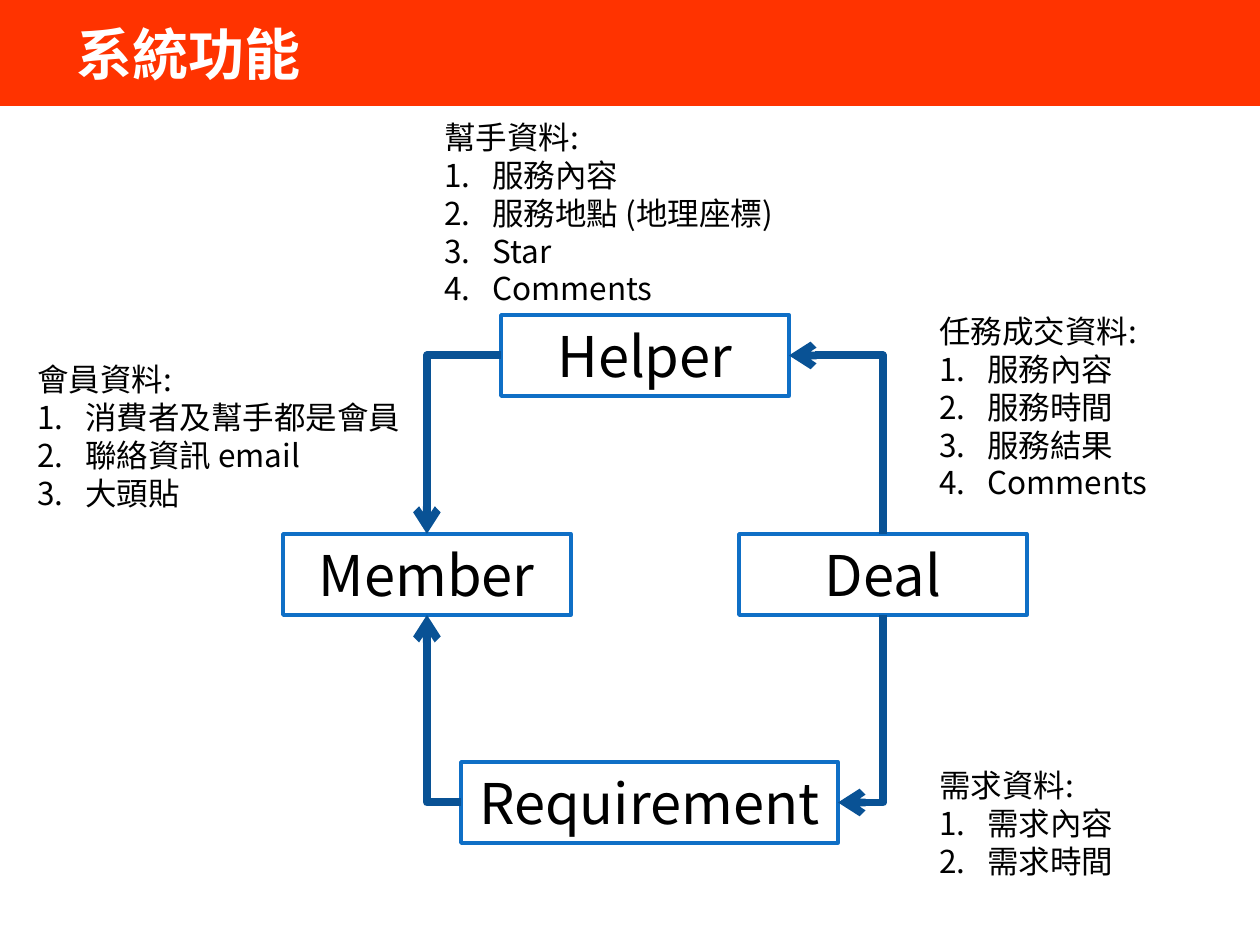
from lxml import etree
from pptx import Presentation
from pptx.dml.color import RGBColor
from pptx.enum.shapes import MSO_CONNECTOR, MSO_SHAPE
from pptx.enum.text import MSO_ANCHOR, MSO_AUTO_SIZE, PP_ALIGN
from pptx.oxml.ns import qn
from pptx.util import Emu, Inches, Pt

ELBOW, RECTANGLE = MSO_CONNECTOR.ELBOW, MSO_SHAPE.RECTANGLE
LEFT, CENTER, MIDDLE = PP_ALIGN.LEFT, PP_ALIGN.CENTER, MSO_ANCHOR.MIDDLE
NO_AUTOFIT, GROW = MSO_AUTO_SIZE.NONE, MSO_AUTO_SIZE.SHAPE_TO_FIT_TEXT
TOP_SIDE, LEFT_SIDE, BOTTOM_SIDE, RIGHT_SIDE = range(4)

ORANGE = RGBColor(0xFF, 0x33, 0x00)
WHITE = RGBColor(0xFF, 0xFF, 0xFF)
BLACK = RGBColor(0x00, 0x00, 0x00)
BLUE = RGBColor(0x0F, 0x6F, 0xC6)
DARK_BLUE = RGBColor(0x09, 0x52, 0x95)
FONT = "Noto Sans CJK SC"

TITLE = "系統功能"
BANNER_BOX = (0, 0, 1260, 106)
TITLE_BOX = (64, 0, 1134, 106)

ENTITY_HEIGHT = 81
ENTITIES = {  # name: left, top, width
    "Helper": (501, 315, 288),
    "Member": (283, 534, 288),
    "Deal": (739, 534, 288),
    "Requirement": (461, 762, 377),
}
RELATIONS = [
    ("Helper", LEFT_SIDE, "Member", TOP_SIDE),
    ("Requirement", LEFT_SIDE, "Member", BOTTOM_SIDE),
    ("Deal", TOP_SIDE, "Helper", RIGHT_SIDE),
    ("Deal", BOTTOM_SIDE, "Requirement", RIGHT_SIDE),
]
NOTES = [  # box, heading, numbered items
    ((25, 354, 397, 165), "會員資料:",
     ["消費者及幫手都是會員", "聯絡資訊 email", "大頭貼"]),
    ((432, 112, 397, 204), "幫手資料:",
     ["服務內容", "服務地點 (地理座標)", "Star", "Comments"]),
    ((927, 306, 328, 204), "任務成交資料:",
     ["服務內容", "服務時間", "服務結果", "Comments"]),
    ((927, 760, 328, 127), "需求資料:", ["需求內容", "需求時間"]),
]


def px(length):
    return Emu(round(length * 914400 / 126))


def write(paragraph, text, size, color=BLACK, bold=False, align=LEFT):
    paragraph.alignment = align
    run = paragraph.add_run()
    run.text = text
    formats = {"name": FONT, "size": Pt(size), "bold": bold}
    for name, value in formats.items():
        setattr(run.font, name, value)
    run.font.color.rgb = color
    etree.SubElement(run.font._element, qn("a:ea"), typeface=FONT)


def add_rectangle(slide, box, fill):
    shape = slide.shapes.add_shape(RECTANGLE, *map(px, box))
    shape.shadow.inherit = False
    shape.fill.solid()
    shape.fill.fore_color.rgb = fill
    return shape


def add_header(slide):
    banner = add_rectangle(slide, BANNER_BOX, ORANGE)
    banner.line.fill.background()
    slide.shapes.element.insert(2, banner.element)  # behind the title
    title = slide.shapes.title
    for side, value in zip(("left", "top", "width", "height"), TITLE_BOX):
        setattr(title, side, px(value))
    title.text_frame.auto_size = NO_AUTOFIT
    title.text_frame.vertical_anchor = MIDDLE
    write(title.text_frame.paragraphs[0], TITLE, 32, WHITE, bold=True)


def add_entity(slide, name, left, top, width):
    entity = add_rectangle(slide, (left, top, width, ENTITY_HEIGHT), WHITE)
    entity.line.color.rgb = BLUE
    entity.line.width = Pt(2)
    entity.text_frame.auto_size = GROW
    entity.text_frame.vertical_anchor = MIDDLE
    write(entity.text_frame.paragraphs[0], name, 32, align=CENTER)
    return entity


def turn_upright(connector):
    """Rotate a one-bend connector so that it leaves its start vertically."""
    rightward = connector.end_x > connector.begin_x
    downward = connector.end_y > connector.begin_y
    left, top = connector.left, connector.top
    width, height = connector.width, connector.height
    connector.left = left + (width - height) // 2
    connector.top = top + (height - width) // 2
    connector.width, connector.height = height, width
    xfrm = connector.element.spPr.find(qn("a:xfrm"))
    xfrm.set("rot", str((90 if downward else 270) * 60000))
    xfrm.set("flipH", "0")
    xfrm.set("flipV", str(int(downward == rightward)))


def add_relation(slide, source, source_side, target, target_side):
    connector = slide.shapes.add_connector(ELBOW, 0, 0, 0, 0)
    connector.begin_connect(source, source_side)
    connector.end_connect(target, target_side)
    properties = connector.element.spPr
    properties.find(qn("a:prstGeom")).set("prst", "bentConnector2")
    if source_side in (TOP_SIDE, BOTTOM_SIDE):
        turn_upright(connector)
    connector.line.color.rgb = DARK_BLUE
    connector.line.width = Pt(4.5)
    etree.SubElement(properties.find(qn("a:ln")), qn("a:tailEnd"), type="arrow")
    etree.SubElement(properties, qn("a:effectLst"))


def add_note(slide, box, heading, items):
    frame = slide.shapes.add_textbox(*map(px, box)).text_frame
    frame.word_wrap = True
    frame.auto_size = GROW
    write(frame.paragraphs[0], heading, 18)
    indent = Inches(0.38)
    for item in items:
        paragraph = frame.add_paragraph()
        write(paragraph, item, 18)
        settings = paragraph._p.get_or_add_pPr()
        settings.set("marL", str(indent))
        settings.set("indent", str(-indent))
        etree.SubElement(settings, qn("a:buAutoNum"), type="arabicPeriod")


def main():
    presentation = Presentation()
    presentation.slide_width, presentation.slide_height = px(1260), px(945)
    slide = presentation.slides.add_slide(presentation.slide_layouts[5])
    add_header(slide)
    entities = {name: add_entity(slide, name, *place)
                for name, place in ENTITIES.items()}
    for source, source_side, target, target_side in RELATIONS:
        add_relation(slide, entities[source], source_side,
                     entities[target], target_side)
    for note in NOTES:
        add_note(slide, *note)
    presentation.save("out.pptx")


if __name__ == "__main__":
    main()
